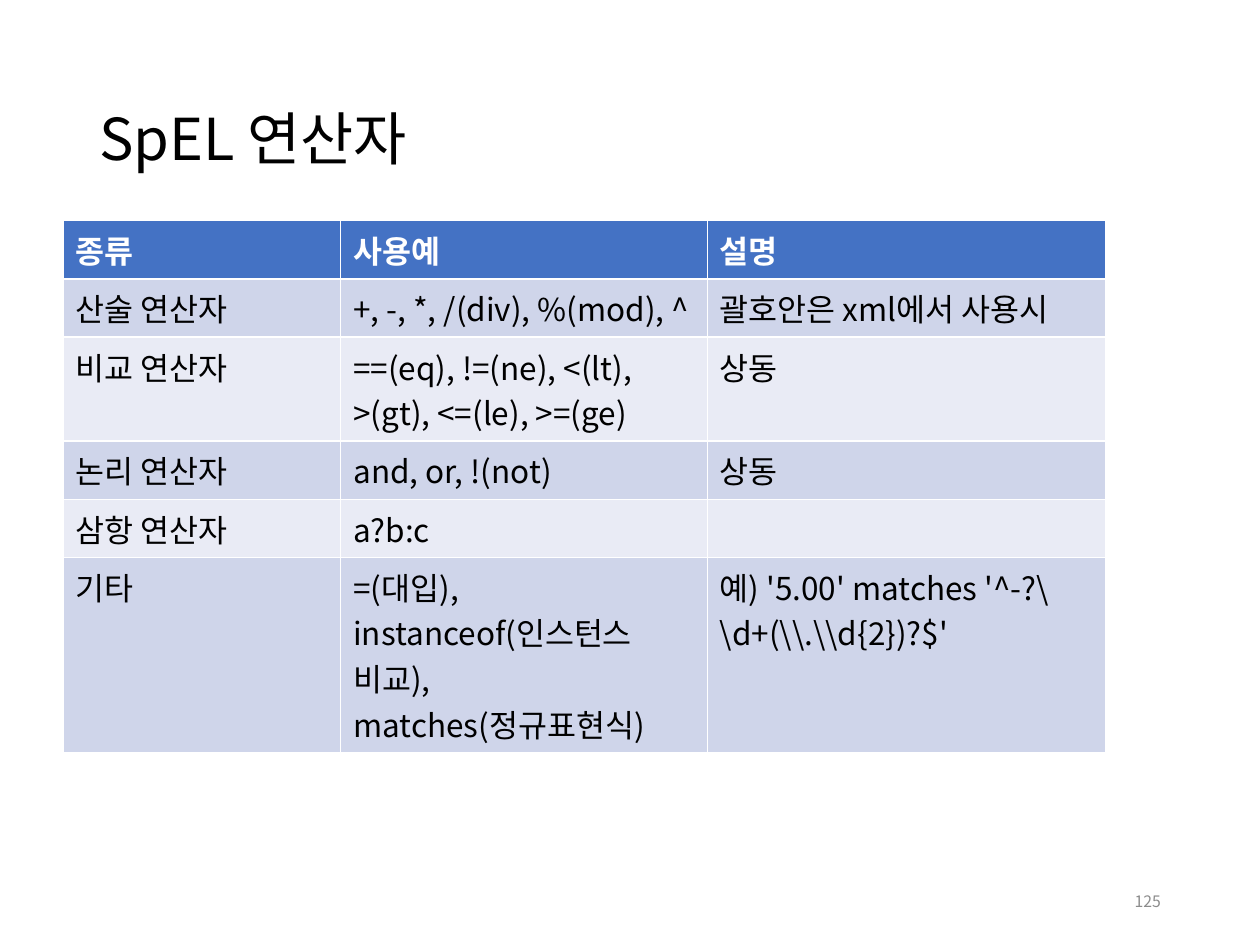
from dataclasses import dataclass

from lxml.etree import SubElement
from pptx import Presentation
from pptx.dml.color import RGBColor
from pptx.enum.text import MSO_ANCHOR, PP_ALIGN
from pptx.oxml.ns import qn
from pptx.slide import Slide
from pptx.text.text import TextFrame
from pptx.util import Cm, Pt

FONT = "Noto Sans CJK KR"
HEADER_FILL = "4472C4"
BAND_FILLS = ("CFD5EA", "E9EBF5")
COLUMN_WIDTHS = (5.6, 7.39, 8.03)
ROW_HEIGHT = 1.03
OPERATOR_ROWS = (
    ("종류", "사용예", "설명"),
    ("산술 연산자", "+, -, *, /(div), %(mod), ^", "괄호안은 xml에서 사용시"),
    ("비교 연산자", "==(eq), !=(ne), <(lt), >(gt), <=(le), >=(ge)", "상동"),
    ("논리 연산자", "and, or, !(not)", "상동"),
    ("삼항 연산자", "a?b:c", ""),
    ("기타", "=(대입), instanceof(인스턴스 비교), matches(정규표현식)",
     r"예) '5.00' matches '^-?\\d+(\\.\\d{2})?$'"),
)


@dataclass(frozen=True)
class Label:
    text: str
    left: float
    top: float
    width: float
    height: float
    size: float
    color: str
    alignment: PP_ALIGN = PP_ALIGN.LEFT
    line_spacing: float = 1.0


LABELS = (
    Label("SpEL 연산자", 1.75, 1.02, 21.9, 3.68, 33, "000000", line_spacing=0.9),
    Label("125", 17.93, 17.65, 5.72, 1.02, 9, "8C8C8C", PP_ALIGN.RIGHT),
)


def hex_color(value: str) -> RGBColor:
    return RGBColor.from_string(value)


def write_text(text_frame: TextFrame, text: str, size: float, color: str, bold: bool = False) -> None:
    text_frame.text = text
    for run in text_frame.paragraphs[0].runs:
        run.font.size = Pt(size)
        run.font.bold = bold
        run.font.color.rgb = hex_color(color)
        run.font.name = FONT
        SubElement(run.font._element, qn("a:ea"), typeface=FONT)


def add_label(slide: Slide, label: Label) -> None:
    shape = slide.shapes.add_textbox(Cm(label.left), Cm(label.top), Cm(label.width), Cm(label.height))
    text_frame = shape.text_frame
    text_frame.word_wrap = True
    text_frame.vertical_anchor = MSO_ANCHOR.MIDDLE
    write_text(text_frame, label.text, label.size, label.color)
    paragraph = text_frame.paragraphs[0]
    paragraph.alignment = label.alignment
    paragraph.line_spacing = label.line_spacing


def add_operator_table(slide: Slide) -> None:
    row_count = len(OPERATOR_ROWS)
    table = slide.shapes.add_table(
        row_count, len(COLUMN_WIDTHS), Cm(1.27), Cm(4.45),
        Cm(sum(COLUMN_WIDTHS)), Cm(ROW_HEIGHT * row_count),
    ).table
    for column, width in zip(table.columns, COLUMN_WIDTHS):
        column.width = Cm(width)
    for row_index, texts in enumerate(OPERATOR_ROWS):
        is_header = row_index == 0
        fill = HEADER_FILL if is_header else BAND_FILLS[(row_index - 1) % 2]
        table.rows[row_index].height = Cm(ROW_HEIGHT)
        for column_index, text in enumerate(texts):
            cell = table.cell(row_index, column_index)
            cell.fill.solid()
            cell.fill.fore_color.rgb = hex_color(fill)
            write_text(cell.text_frame, text, 18, "FFFFFF" if is_header else "000000", is_header)


def main() -> None:
    """Build the slide listing the SpEL operators."""
    presentation = Presentation()
    presentation.slide_width = Cm(25.4)
    presentation.slide_height = Cm(19.05)
    slide = presentation.slides.add_slide(presentation.slide_layouts[6])
    add_operator_table(slide)
    for label in LABELS:
        add_label(slide, label)
    presentation.save("out.pptx")


if __name__ == "__main__":
    main()
